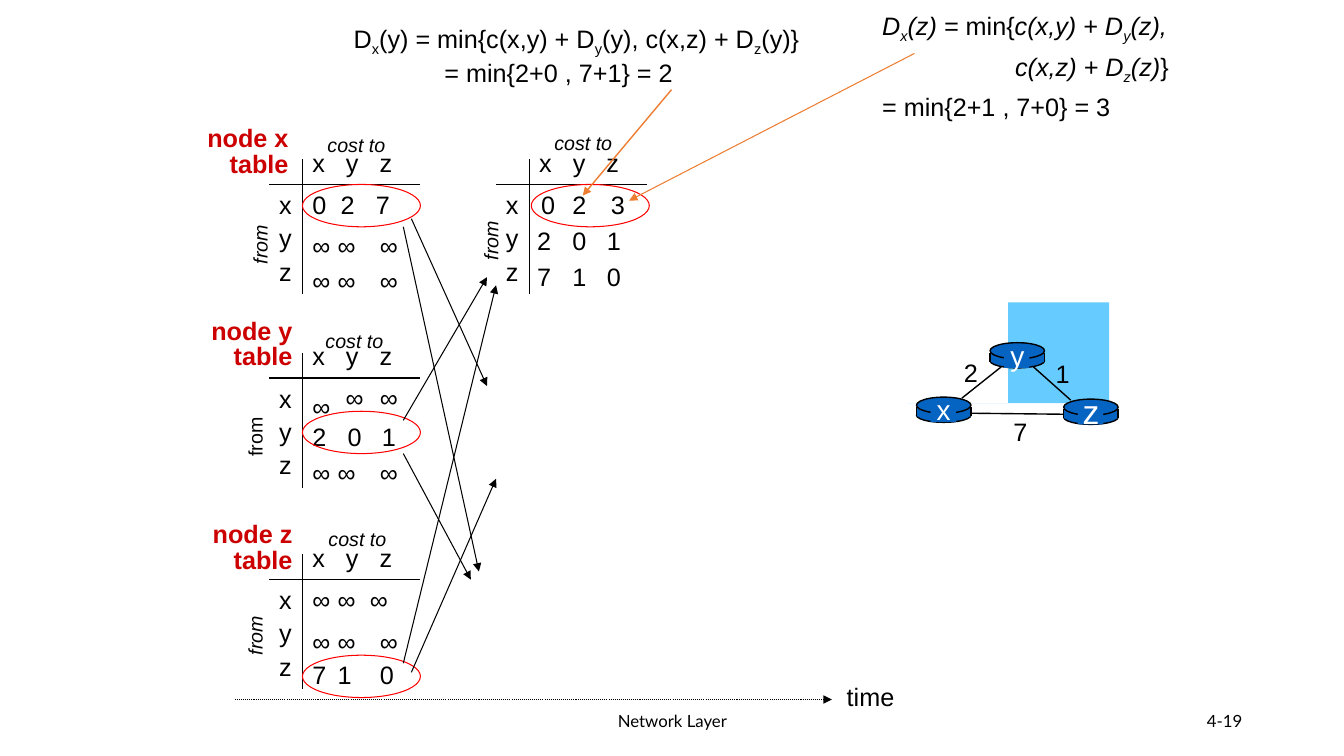
from pptx import Presentation
from pptx.dml.color import RGBColor
from pptx.enum.dml import MSO_LINE
from pptx.enum.shapes import MSO_CONNECTOR, MSO_SHAPE
from pptx.enum.text import MSO_ANCHOR, PP_ALIGN
from pptx.oxml.ns import qn
from pptx.util import Inches, Pt
from lxml.etree import SubElement

BLACK = RGBColor(0x00, 0x00, 0x00)
WHITE = RGBColor(0xFF, 0xFF, 0xFF)
CRIMSON = RGBColor(0xCC, 0x00, 0x00)
RED = RGBColor(0xFF, 0x00, 0x00)
ORANGE = RGBColor(0xED, 0x7D, 0x31)
BLUE = RGBColor(0x05, 0x63, 0xC1)
SKY = RGBColor(0x66, 0xCC, 0xFF)

# Distance tables: corner, name, name's right edge and top, "cost to", "from",
# "from" style, ring, rows of (top, column lefts, values)
WIDE, NARROW = (3, 3.25, 3.67), (3, 3.28, 3.63)
TABLES = [
    ((2.67, 1.83), "node x", (2.96, 1.21), (3.15, 1.27), (2.28, 2.26), "i", (3, 1.83),
     [(1.83, NARROW, "027"), (2.24, WIDE, "∞∞∞"), (2.58, WIDE, "∞∞∞")]),
    ((4.92, 1.83), None, None, (5.4, 1.25), (4.57, 2.22), "i", (5.27, 1.83),
     [(1.83, (5.27, 5.58, 5.96), "023"), (2.19, (5.23, 5.58, 5.92), "201"),
      (2.54, (5.23, 5.58, 5.92), "710")]),
    ((2.67, 3.75), "node y", (3, 3.12), (3.13, 3.21), (2.23, 4.17), "", (3, 4.08),
     [(3.83, (3,), "∞"), (3.74, (3.33, 3.67), "∞∞"),
      (4.13, (3, 3.35, 3.69), "201"), (4.49, WIDE, "∞∞∞")]),
    ((2.67, 5.75), "node z", (3, 5.14), (3.16, 5.18), (2.23, 6.14), "i", (3, 6.5),
     [(5.75, (3, 3.25, 3.57), "∞∞∞"), (6.16, WIDE, "∞∞∞"), (6.49, WIDE, "710")]),
]

# Messages between nodes
SENDS = [(4.08, 2.17, 4.83, 3.83), (4, 2.25, 4.75, 5.67), (4, 4.17, 4.83, 2.75),
         (4, 4.5, 4.67, 5.75), (4, 6.58, 4.92, 2.83), (4.08, 6.67, 4.92, 4.75)]

# Formulas: runs of (text, style), s = subscript, i = italic
SUM_Y = [
    [("D", ""), ("x", "s"), ("(y) = min{c(x,y) + D", ""), ("y", "s"),
     ("(y), c(x,z) + D", ""), ("z", "s"), ("(y)}", "")],
    [("= min{2+0 , 7+1} = 2", "")],
]
SUM_Z = [
    [("D", "i"), ("x", "is"), ("(z) = ", "i"), ("min{", ""), ("c(x,y) + D", "i"),
     ("y", "is"), ("(z),", "i")],
    [("c(x,z) + D", "i"), ("z", "is"), ("(z)", "i"), ("}", "")],
    [("= min{2+1 , 7+0} = 3", "")],
]
POINTS = [(6.66, 0.89, 5.78, 1.94, 1), (9.07, 0.53, 6.24, 1.99, 0.75)]

# Network
CLOUD = [(9.12, 3.79),
         (9.21, 3.65), (9.43, 3.56), (9.61, 3.47), (9.78, 3.37), (9.93, 3.18), (10.15, 3.2),
         (10.37, 3.22), (10.74, 3.42), (10.93, 3.56), (11.12, 3.71), (11.31, 3.92), (11.29, 4.07),
         (11.28, 4.22), (11.06, 4.38), (10.84, 4.44), (10.61, 4.51), (10.22, 4.49), (9.92, 4.47),
         (9.63, 4.44), (9.19, 4.39), (9.05, 4.28), (8.92, 4.16), (9.02, 3.92), (9.12, 3.79)]
LINKS = [(9.54, 3.95, 9.93, 3.64), (10.25, 3.64, 10.62, 3.97), (9.64, 4.1, 10.58, 4.11)]
COSTS = [("1", 10.37, 3.51), ("2", 9.46, 3.5), ("7", 9.95, 4.08)]
ROUTERS = [("x", 9.09, 3.94, 20), ("z", 10.55, 3.96, 24), ("y", 9.82, 3.4, 20)]

deck = Presentation()
deck.slide_width, deck.slide_height = Inches(13.33), Inches(7.5)
page = deck.slides.add_slide(deck.slide_layouts[6]).shapes


def text(host, x, y, w, h, lines, size=18, color=BLACK, align=PP_ALIGN.LEFT,
         space=None, font="Arial", mid=False, turn=0, indents=()):
    box = host.add_textbox(Inches(x), Inches(y), Inches(w), Inches(h))
    box.rotation = turn
    frame = box.text_frame
    frame.word_wrap = True
    frame.vertical_anchor = MSO_ANCHOR.MIDDLE if mid else MSO_ANCHOR.TOP
    for n, line in enumerate(lines):
        para = frame.paragraphs[0] if n == 0 else frame.add_paragraph()
        para.alignment = align
        if space:
            para.line_spacing = space
        if n < len(indents):
            para._p.get_or_add_pPr().set("marL", str(Inches(indents[n])))
        for words, style in line:
            run = para.add_run()
            run.text = words
            run.font.name, run.font.size = font, Pt(size)
            run.font.color.rgb = color
            run.font.bold, run.font.italic = "b" in style, "i" in style
            if "s" in style:
                run._r.get_or_add_rPr().set("baseline", "-25000")


def line(host, x1, y1, x2, y2, width=0.75, color=BLACK, arrow=False, dots=False):
    rule = host.add_connector(MSO_CONNECTOR.STRAIGHT, Inches(x1), Inches(y1),
                              Inches(x2), Inches(y2))
    rule.line.color.rgb, rule.line.width = color, Pt(width)
    if dots:
        rule.line.dash_style = MSO_LINE.ROUND_DOT
    if arrow:
        SubElement(rule.line._get_or_add_ln(), qn("a:tailEnd"), type="triangle")
    SubElement(rule._element.spPr, qn("a:effectLst"))


def paint(shape, fill=None, edge=None, width=0.75):
    shape.shadow.inherit = False
    if fill is None:
        shape.fill.background()
    else:
        shape.fill.solid()
        shape.fill.fore_color.rgb = fill
    if edge is None:
        shape.line.fill.background()
    else:
        shape.line.color.rgb, shape.line.width = edge, Pt(width)


def solid(host, kind, x, y, w, h, **look):
    paint(host.add_shape(kind, Inches(x), Inches(y), Inches(w), Inches(h)), **look)


def curve(knots, steps=12):
    """Points along a chain of cubic curves."""
    for k in range(0, len(knots) - 1, 3):
        for n in range(1, steps + 1):
            t = n / steps
            parts = ((1 - t) ** 3, 3 * t * (1 - t) ** 2, 3 * t * t * (1 - t), t ** 3)
            yield tuple(sum(p * knot[axis] for p, knot in zip(parts, knots[k:k + 4]))
                        for axis in (0, 1))


# Footer
text(page, 4.42, 6.95, 4.5, 0.4, [[("Network Layer", "")]], 12,
     align=PP_ALIGN.CENTER, font="Lato", mid=True)
text(page, 9.42, 6.95, 3, 0.4, [[("4-19", "")]], 12,
     align=PP_ALIGN.RIGHT, font="Lato", mid=True)

# Distance tables
for (x, y), name, spot, cost, side, style, ring, rows in TABLES:
    line(page, x + 0.33, y - 0.25, x + 0.33, y + 1.09)
    line(page, x, y, x + 1.5, y)
    for n, node in enumerate("xyz"):
        text(page, x + 0.33 + n / 3, y - 0.42, 0.4, 0.4, [[(node, "")]])
        text(page, x, y + n * 0.33, 0.4, 0.4, [[(node, "")]])
    for top, lefts, values in rows:
        for left, value in zip(lefts, values):
            text(page, left, top, 0.4, 0.4, [[(value, "")]])
    text(page, *cost, 0.9, 0.33, [[("cost to", "i")]], 14)
    text(page, side[0] - 0.1, side[1], 0.79, 0.33, [[("from", style)]], 14,
         align=PP_ALIGN.CENTER, turn=270)
    if name:
        text(page, spot[0] - 1.2, spot[1], 1.2, 0.61, [[(name, "b")], [("table", "b")]],
             color=CRIMSON, align=PP_ALIGN.RIGHT, space=0.85)
    solid(page, MSO_SHAPE.OVAL, *ring, 1.17, 0.42, edge=RED)

# Messages and time axis
for send in SENDS:
    line(page, *send, arrow=True)
line(page, 2.33, 6.94, 8.25, 6.94, arrow=True, dots=True)
text(page, 8.3, 6.71, 0.8, 0.4, [[("time", "")]])

# Network: cloud, links, routers, costs
net = page.add_group_shape().shapes
path = net.build_freeform(*CLOUD[0], scale=Inches(1))
path.add_line_segments(list(curve(CLOUD)))
paint(path.convert_to_shape(), fill=SKY)
for link in LINKS:
    line(net, *link, width=1)
for node, x, y, size in ROUTERS:
    solid(net, MSO_SHAPE.OVAL, x, y + 0.11, 0.54, 0.14, fill=BLUE, edge=BLACK, width=1)
    solid(net, MSO_SHAPE.RECTANGLE, x, y + 0.1, 0.54, 0.09, fill=BLUE)
    for edge in (x, x + 0.54):
        line(net, edge, y + 0.1, edge, y + 0.19, width=1)
    solid(net, MSO_SHAPE.OVAL, x, y, 0.54, 0.16, fill=BLUE, edge=BLACK, width=1)
    solid(net, MSO_SHAPE.RECTANGLE, x + 0.14, y + 0.02, 0.25, 0.23, fill=BLUE)
    text(net, x + 0.07, y - 0.13, 0.4, 0.5, [[(node, "")]], size, WHITE,
         PP_ALIGN.CENTER, mid=True)
for cost, x, y in COSTS:
    text(net, x - 0.03, y, 0.4, 0.4, [[(cost, "")]], align=PP_ALIGN.CENTER)

# Formulas and the cells they explain
text(page, 3.41, 0.2, 4.9, 0.7, SUM_Y, align=PP_ALIGN.JUSTIFY, mid=True, indents=(0, 0.9))
text(page, 8.65, 0.03, 3.25, 1.18, SUM_Z, align=PP_ALIGN.JUSTIFY, space=1.2, mid=True,
     indents=(0, 1.32))
for *ends, width in POINTS:
    line(page, *ends, width=width, color=ORANGE, arrow=True)

deck.save("out.pptx")
